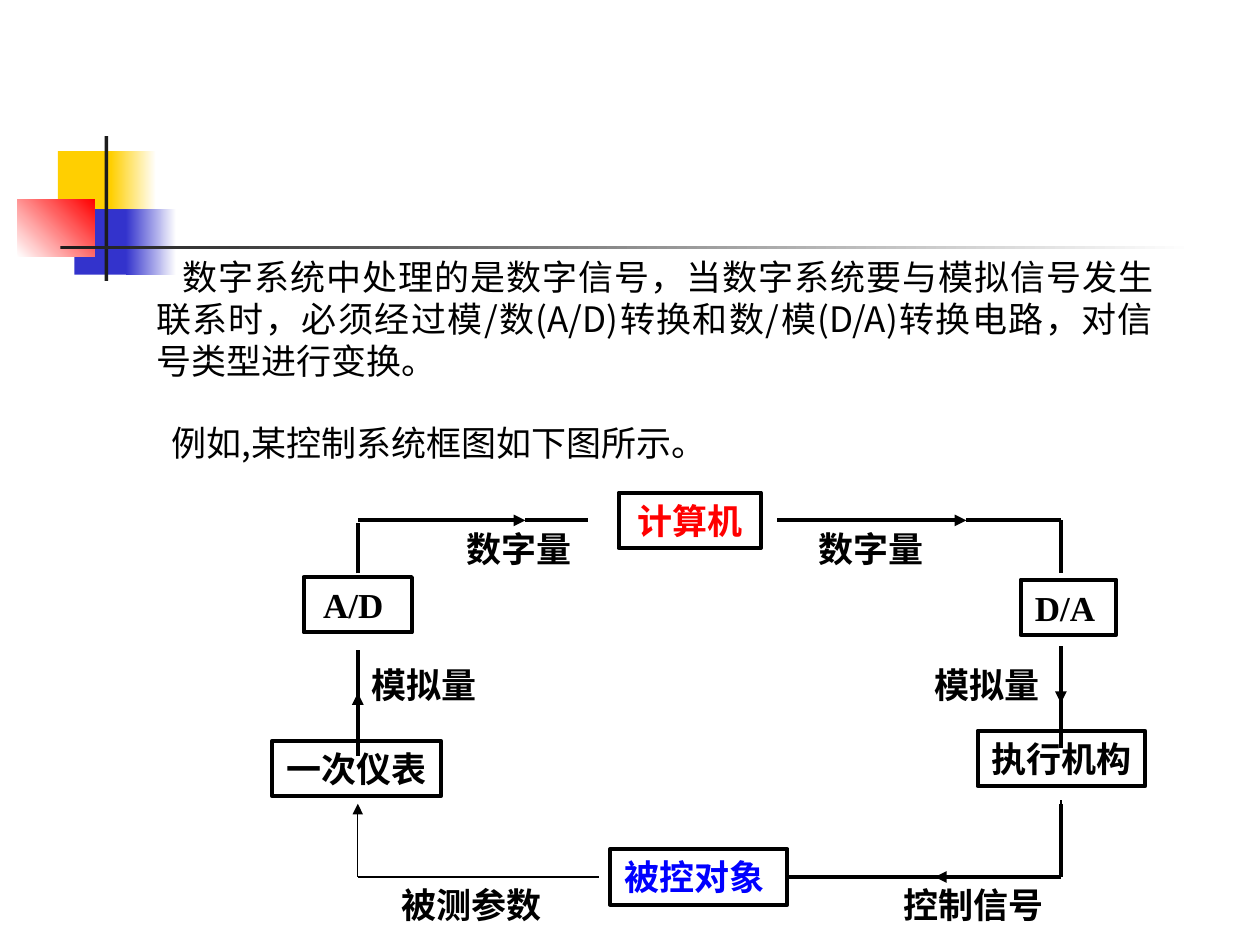
"""Build a slide showing a digital control loop with A/D and D/A conversion."""
import pptx
import pptx.dml.color
import pptx.enum.shapes
import pptx.enum.text
import pptx.oxml.ns
import pptx.util
from lxml import etree

Inches, Pt = pptx.util.Inches, pptx.util.Pt
RGBColor = pptx.dml.color.RGBColor
ALIGN = pptx.enum.text.PP_ALIGN
MIDDLE = pptx.enum.text.MSO_ANCHOR.MIDDLE
RECT = pptx.enum.shapes.MSO_SHAPE.RECTANGLE
STRAIGHT = pptx.enum.shapes.MSO_CONNECTOR.STRAIGHT
qn = pptx.oxml.ns.qn

BLACK = RGBColor(0, 0, 0)
WHITE = RGBColor(255, 255, 255)
RED = RGBColor(255, 0, 0)
BLUE = RGBColor(0, 0, 255)
YELLOW = RGBColor(0xFF, 0xCF, 0x01)
INDIGO = RGBColor(0x33, 0x33, 0xCC)
CHARCOAL = RGBColor(0x1C, 0x1C, 0x1C)

CJK = "Noto Sans CJK SC"
BODY = {"name": CJK, "size": Pt(20), "bold": False}
LABEL = {"name": "Roboto", "size": Pt(20), "bold": True}
BOX = {"name": "Times New Roman", "size": Pt(20), "bold": True}
ROW, LEFT, RIGHT, TOP, BOTTOM = 0.44, 2.84, 8.42, 4.13, 6.96


class Diagram:
    """Draw styled elements on one slide."""

    def __init__(self, slide):
        self.s = slide

    def set_text(self, sp, text, style, color=BLACK, align=ALIGN.LEFT, indent=0):
        """Put one formatted paragraph into a shape."""
        tf = sp.text_frame
        tf.word_wrap = True
        tf.vertical_anchor = MIDDLE
        p = tf.paragraphs[0]
        p.alignment = align
        p.line_spacing = Pt(24)
        if indent:
            p._p.get_or_add_pPr().set("indent", str(Inches(indent)))
        r = p.add_run()
        r.text = text
        for name, value in style.items():
            setattr(r.font, name, value)
        r.font.color.rgb = color
        etree.SubElement(r._r.get_or_add_rPr(), qn("a:ea")).set("typeface", CJK)

    def text(self, x, y, w, h, text, style, **options):
        """Add a text box."""
        sp = self.s.shapes.add_textbox(*map(Inches, (x, y, w, h)))
        self.set_text(sp, text, style, **options)

    def rect(self, x, y, w, h):
        """Add a rectangle without shadow."""
        sp = self.s.shapes.add_shape(RECT, *map(Inches, (x, y, w, h)))
        sp.shadow.inherit = False
        return sp

    def band(self, x, y, w, h, start, end=None, angle=0):
        """Add a solid or gradient decoration."""
        sp = self.rect(x, y, w, h)
        sp.line.fill.background()
        if end is None:
            sp.fill.solid()
            sp.fill.fore_color.rgb = start
            return
        sp.fill.gradient()
        sp.fill.gradient_angle = angle
        for stop, color in zip(sp.fill.gradient_stops, (start, end)):
            stop.color.rgb = color

    def block(self, x, y, w, text, color=BLACK):
        """Add an outlined block of the diagram."""
        sp = self.rect(x, y, w, ROW)
        sp.fill.background()
        sp.line.color.rgb = BLACK
        sp.line.width = Pt(2.25)
        self.set_text(sp, text, BOX, color, ALIGN.CENTER)
        return sp

    def line(self, x1, y1, x2, y2, arrow=False, width=2.25):
        """Add a straight line, with an arrowhead at its end if asked."""
        c = self.s.shapes.add_connector(STRAIGHT, *map(Inches, (x1, y1, x2, y2)))
        c.line.color.rgb = BLACK
        c.line.width = Pt(width)
        if arrow:
            ln = c._element.spPr.find(qn("a:ln"))
            etree.SubElement(ln, qn("a:tailEnd")).set("type", "triangle")
        etree.SubElement(c._element.spPr, qn("a:effectLst"))
        return c


def main():
    """Create and save the slide."""
    prs = pptx.Presentation()
    prs.slide_width, prs.slide_height = Inches(10), Inches(7.5)
    d = Diagram(prs.slides.add_slide(prs.slide_layouts[6]))

    for band in (
        (0.46, 1.2, 0.48, 0.52, YELLOW),
        (0.88, 1.2, 0.36, 0.52, YELLOW, WHITE),
        (0.59, 1.66, 0.46, 0.52, INDIGO),
        (1, 1.66, 0.4, 0.52, INDIGO, WHITE),
        (0.14, 1.58, 0.61, 0.46, WHITE, RED, 45),
        (0.83, 1.08, 0.03, 1.15, CHARCOAL),
        (0.48, 1.95, 9, 0.03, CHARCOAL, WHITE),
    ):
        d.band(*band)

    d.text(1.14, 1.98, 8.11, 1.1,
           "数字系统中处理的是数字信号，当数字系统要与模拟信号发生联系时，"
           "必须经过模/数(A/D)转换和数/模(D/A)转换电路，对信号类型进行变换。",
           BODY, align=ALIGN.JUSTIFY, indent=0.21)
    d.text(0.83, 3.29, 6.38, ROW, "例如,某控制系统框图如下图所示。",
           BODY, align=ALIGN.JUSTIFY, indent=0.43)

    for block in (
        (4.91, 3.91, 1.13, "计算机", RED),
        (2.41, 4.58, 0.86, "A/D "),
        (8.1, 4.6, 0.76, "D/A "),
        (2.16, 5.88, 1.34, "一次仪表 "),
        (7.76, 5.8, 1.33, "执行机构 "),
    ):
        d.block(*block)
    plant = d.block(4.84, 6.74, 1.41, "被控对象 ", BLUE)

    for x, y, w, label in (
        (3.6, TOP, 1.09, "数字量"),
        (6.4, TOP, 1.19, "数字量"),
        (2.85, 5.21, 1.1, "模拟量"),
        (7.32, 5.21, 1.09, "模拟量"),
        (3.09, BOTTOM, 1.62, "被测参数"),
        (7.07, BOTTOM, 1.85, "控制信号"),
    ):
        d.text(x, y, w, ROW, label, LABEL)

    for line in (
        (LEFT, 6, LEFT, 5.5, True),
        (LEFT, 5.58, LEFT, 5.16),
        (LEFT, 4.55, LEFT, 4.15),
        (LEFT, TOP, 4.17, TOP, True),
        (4.17, TOP, 4.67, TOP),
        (6.17, TOP, 7.67, TOP, True),
        (7.67, TOP, RIGHT, TOP),
        (RIGHT, TOP, RIGHT, 4.55),
        (RIGHT, 5.13, RIGHT, 5.58, True),
        (RIGHT, 5.52, RIGHT, 5.94),
        (RIGHT, 6.35, RIGHT, 6.69, False, 0.75),
        (RIGHT, 6.38, RIGHT, BOTTOM),
        (RIGHT, BOTTOM, 7.42, BOTTOM, True),
        (LEFT, BOTTOM, 4.75, BOTTOM, False, 0.75),
        (LEFT, BOTTOM, LEFT, 6.38, True, 0.75),
    ):
        d.line(*line)
    d.line(7.5, BOTTOM, 6.25, BOTTOM).end_connect(plant, 3)

    prs.save("out.pptx")


if __name__ == "__main__":
    main()
